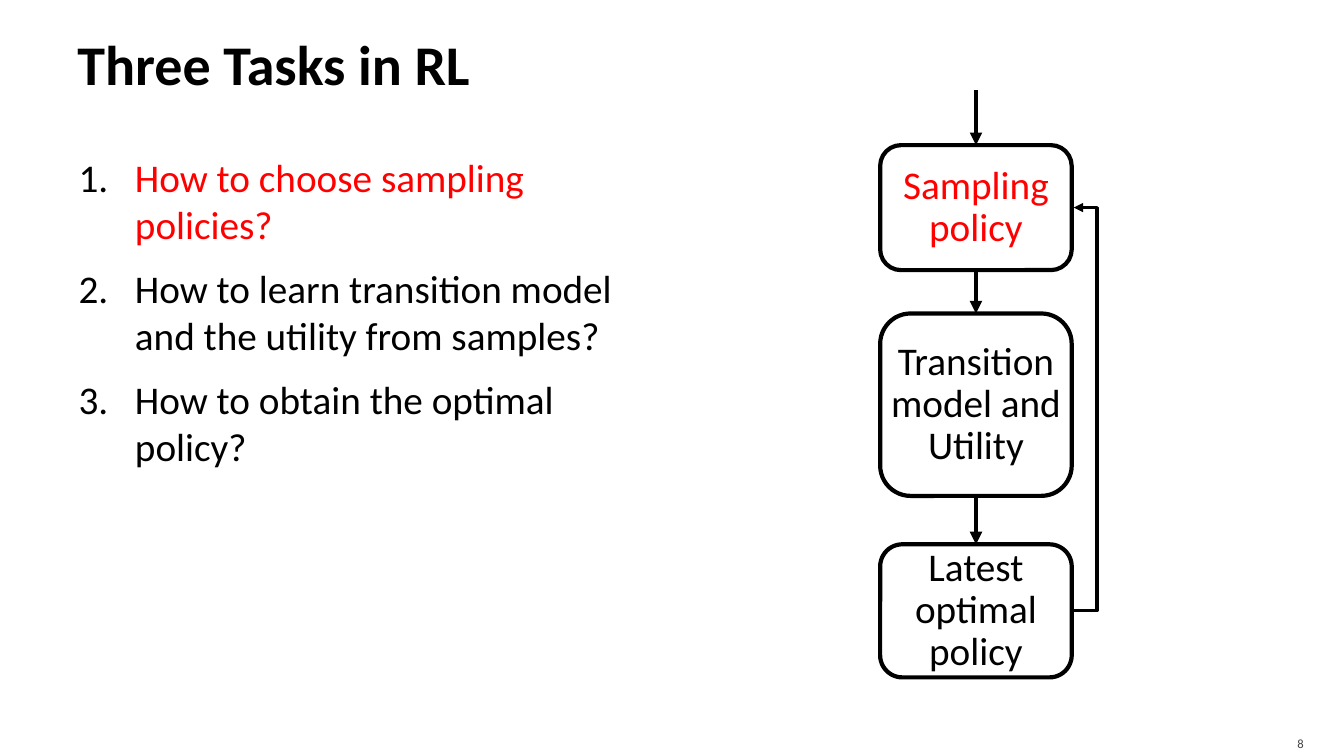
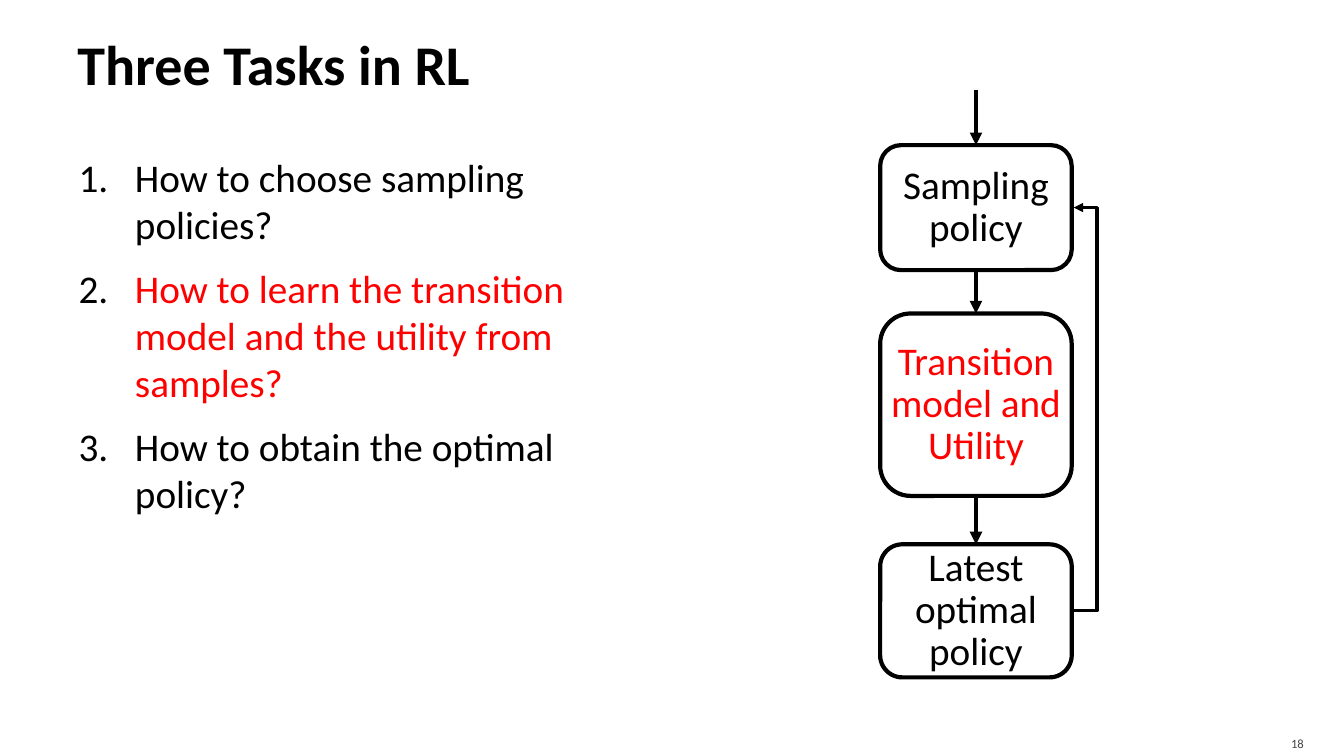
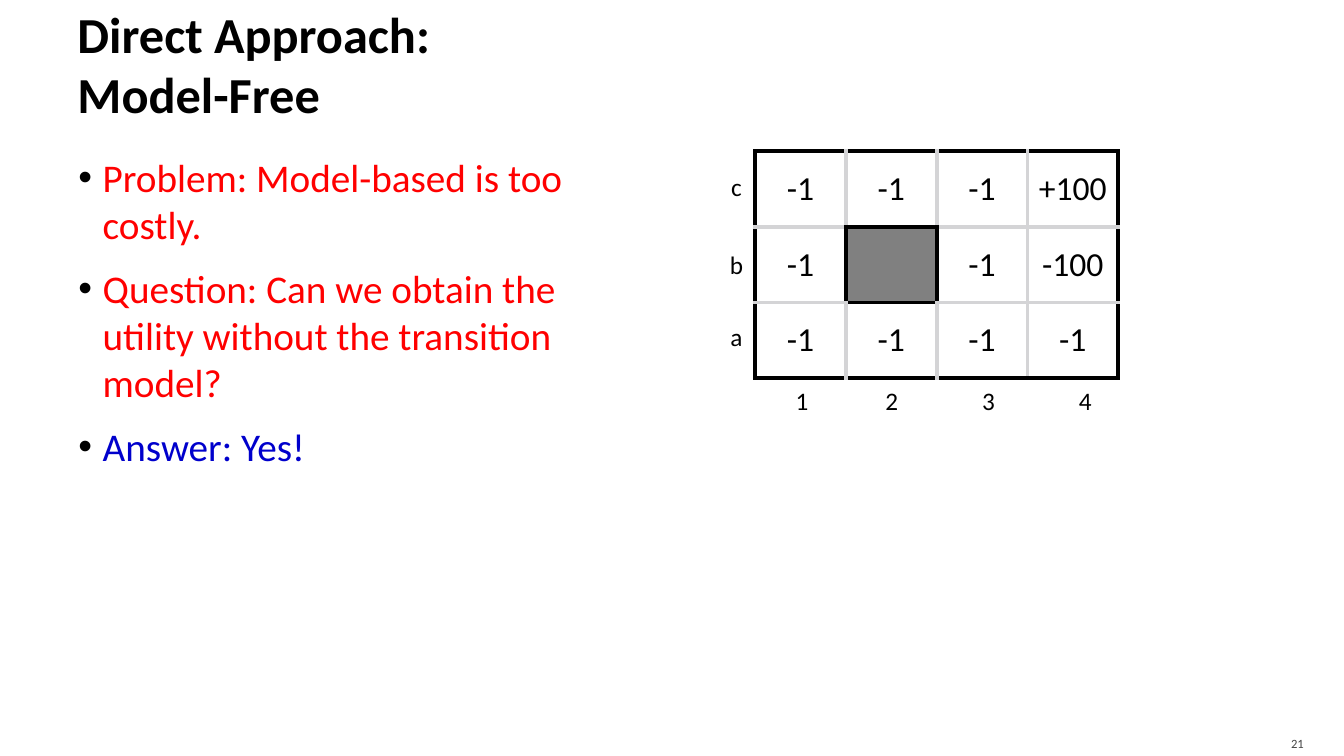
from lxml import etree
from pptx import Presentation
from pptx.dml.color import RGBColor
from pptx.enum.shapes import MSO_CONNECTOR, MSO_SHAPE
from pptx.enum.text import MSO_ANCHOR, PP_ALIGN
from pptx.oxml.ns import qn
from pptx.util import Emu, Pt

STRAIGHT, ELBOW = MSO_CONNECTOR.STRAIGHT, MSO_CONNECTOR.ELBOW
ROUND = MSO_SHAPE.ROUNDED_RECTANGLE
TOP, MIDDLE = MSO_ANCHOR.TOP, MSO_ANCHOR.MIDDLE
LEFT, CENTER, RIGHT = PP_ALIGN.LEFT, PP_ALIGN.CENTER, PP_ALIGN.RIGHT
FONT = "Calibri"
COLORS = {"ink": "000000", "hot": "FF0000", "reply": "0000CC",
          "page": "454545", "grid": "D4D4D6", "wall": "808080"}
SCALE = 9144  # EMU in one px, 100 px to the inch


def px(n):
    return Emu(n * SCALE)


def color(name):
    return RGBColor.from_string(COLORS[name])


def add_run(para, text, size, tint="ink", bold=False):
    run = para.add_run()
    run.text = text
    font = run.font
    font.name, font.size, font.bold = FONT, Pt(size), bold
    font.color.rgb = color(tint)


def set_frame(frame, pads, anchor, wrap=True):
    frame.word_wrap = wrap
    frame.vertical_anchor = anchor
    (frame.margin_left, frame.margin_top,
     frame.margin_right, frame.margin_bottom) = map(px, pads)


def add_text(slide, box, pads=(0, 0, 0, 0), anchor=TOP, align=LEFT, wrap=True):
    frame = slide.shapes.add_textbox(*map(px, box)).text_frame
    set_frame(frame, pads, anchor, wrap)
    frame.paragraphs[0].alignment = align
    return frame


# Shared parts: title, page number, list
def add_base(prs, title, size, page):
    slide = prs.slides.add_slide(prs.slide_layouts[6])
    para = add_text(slide, (67, 17, 1200, 92), (10, 5, 5, 5), MIDDLE).paragraphs[0]
    for i, line in enumerate(title):
        if i:
            para.add_line_break()
        add_run(para, line, size, bold=True)
    foot = add_text(slide, (1196, 720, 107, 30), (10, 5, 10, 0), MIDDLE, RIGHT)
    add_run(foot.paragraphs[0], page, 9, "page")
    return slide


def add_list(slide, box, items, mark, hang):
    frame = add_text(slide, box, (10, 10, 10, 5))
    for i, (text, tint) in enumerate(items):
        para = frame.add_paragraph() if i else frame.paragraphs[0]
        para.space_before = para.space_after = Pt(6)
        add_run(para, text, 28, tint)
        props = para._p.get_or_add_pPr()
        props.set("marL", str(px(hang + 1)))
        props.set("indent", str(-px(hang)))
        tone = etree.SubElement(props, qn("a:buClr"))
        etree.SubElement(tone, qn("a:srgbClr"), val=COLORS["ink"])
        if mark == "1.":
            etree.SubElement(props, qn("a:buAutoNum"), type="arabicPeriod")
        else:
            etree.SubElement(props, qn("a:buFont"), typeface="Arial")
            etree.SubElement(props, qn("a:buChar"), char=mark)


# Flow chart of the learning loop
def add_arrow(slide, kind, start, end, width):
    arrow = slide.shapes.add_connector(kind, *map(px, start + end))
    arrow.line.color.rgb = color("ink")
    arrow.line.width = Pt(width)
    etree.SubElement(arrow.line._get_or_add_ln(), qn("a:tailEnd"), type="triangle")
    etree.SubElement(arrow._element.spPr, qn("a:effectLst"))
    return arrow


def add_step(slide, box, text, tint):
    step = slide.shapes.add_shape(ROUND, *map(px, box))
    step.shadow.inherit = False
    step.fill.background()
    step.line.color.rgb = color("ink")
    step.line.width = Pt(3)
    set_frame(step.text_frame, (0, 0, 0, 0), MIDDLE)
    para = step.text_frame.paragraphs[0]
    para.alignment, para.line_spacing = CENTER, 0.9
    add_run(para, text, 28, tint)
    return step


def add_flow(slide, box, active):
    left, top, width, _ = box
    mid, edge = left + width // 2, left + width
    rows = [("Sampling policy", 55, 124), ("Transition model and Utility", 222, 181),
            ("Latest optimal policy", 451, 132)]
    steps = [add_step(slide, (left, top + y, width, h), text,
                      "hot" if i == active else "ink")
             for i, (text, y, h) in enumerate(rows)]
    for last, step in zip([None] + steps, steps):
        arrow = add_arrow(slide, STRAIGHT, (mid, top), (mid, top + 55), 3)
        if last:
            arrow.begin_connect(last, 2)
        arrow.end_connect(step, 0)
    # Loop back, bending 25 px outside the steps
    first, final = [top + y + h // 2 for _, y, h in (rows[0], rows[-1])]
    span, bend = 2, 25
    loop = add_arrow(slide, ELBOW, (edge, final), (edge + span, first), 2.25)
    guides = loop._element.spPr.find(qn("a:prstGeom")).get_or_add_avLst()
    etree.SubElement(guides, qn("a:gd"), name="adj1",
                     fmla=f"val {bend * 100000 // span}")


# Reward grid with row and column labels
def add_border(cell, sides):
    props = cell._tc.get_or_add_tcPr()
    for i, (side, tint) in enumerate(sides):
        line = etree.Element(qn("a:" + side), w=str(Pt(3)))
        fill = etree.SubElement(line, qn("a:solidFill"))
        etree.SubElement(fill, qn("a:srgbClr"), val=COLORS[tint])
        props.insert(i, line)


def add_grid(slide, box, rows):
    left, top, width, height = box
    high, wide = len(rows), len(rows[0])
    table = slide.shapes.add_table(high, wide, *map(px, box)).table
    table.first_row = table.horz_banding = False
    near = (("lnL", 0, -1), ("lnR", 0, 1), ("lnT", -1, 0), ("lnB", 1, 0))

    def is_wall(r, c):
        return not (0 <= r < high and 0 <= c < wide) or not rows[r][c]

    for r, row in enumerate(rows):
        for c, text in enumerate(row):
            cell = table.cell(r, c)
            cell.vertical_anchor = MIDDLE
            cell.margin_left = cell.margin_right = px(4)
            if text:
                cell.fill.background()
                para = cell.text_frame.paragraphs[0]
                para.alignment = CENTER
                add_run(para, text, 24)
            else:
                cell.fill.solid()
                cell.fill.fore_color.rgb = color("wall")
            add_border(cell, [
                (side, "ink" if not text or is_wall(r + dr, c + dc) else "grid")
                for side, dr, dc in near])
    # Label offsets from the corner of the grid
    labels = [(n, -35, y) for n, y in zip("cba", (15, 92, 164))]
    labels += [(n, x, height + 2) for n, x in zip("1234", (30, 119, 215, 311))]
    for name, x, y in labels:
        frame = add_text(slide, (left + x, top + y, 33, 40), (0, 5, 0, 5),
                         align=CENTER, wrap=False)
        add_run(frame.paragraphs[0], name, 18)


# Slide types
BODY = (67, 142, 589, 602)


def add_tasks(prs, page, active, learn):
    slide = add_base(prs, ["Three Tasks in RL"], 40, page)
    tasks = ["How to choose sampling policies?", learn,
             "How to obtain the optimal policy?"]
    items = [(t, "hot" if i == active else "ink") for i, t in enumerate(tasks)]
    add_list(slide, BODY, items, "1.", 56)
    add_flow(slide, (873, 89, 190, 583), active)


def add_direct(prs, page):
    slide = add_base(prs, ["Direct Approach: ", "Model-Free"], 36, page)
    add_list(slide, BODY, [
        ("Problem: Model-based is too costly.", "hot"),
        ("Question: Can we obtain the utility without the transition model?", "hot"),
        ("Answer: Yes!", "reply")], "•", 24)
    add_grid(slide, (749, 150, 360, 225), [
        ["-1", "-1", "-1", "+100"],
        ["-1", "", "-1", "-100"],
        ["-1", "-1", "-1", "-1"]])


def main():
    prs = Presentation()
    prs.slide_width, prs.slide_height = px(1333), px(750)
    add_tasks(prs, "8", 0,
              "How to learn transition model and the utility from samples?")
    add_tasks(prs, "18", 1,
              "How to learn the transition model and the utility from samples?")
    add_direct(prs, "21")
    prs.save("out.pptx")


if __name__ == "__main__":
    main()
